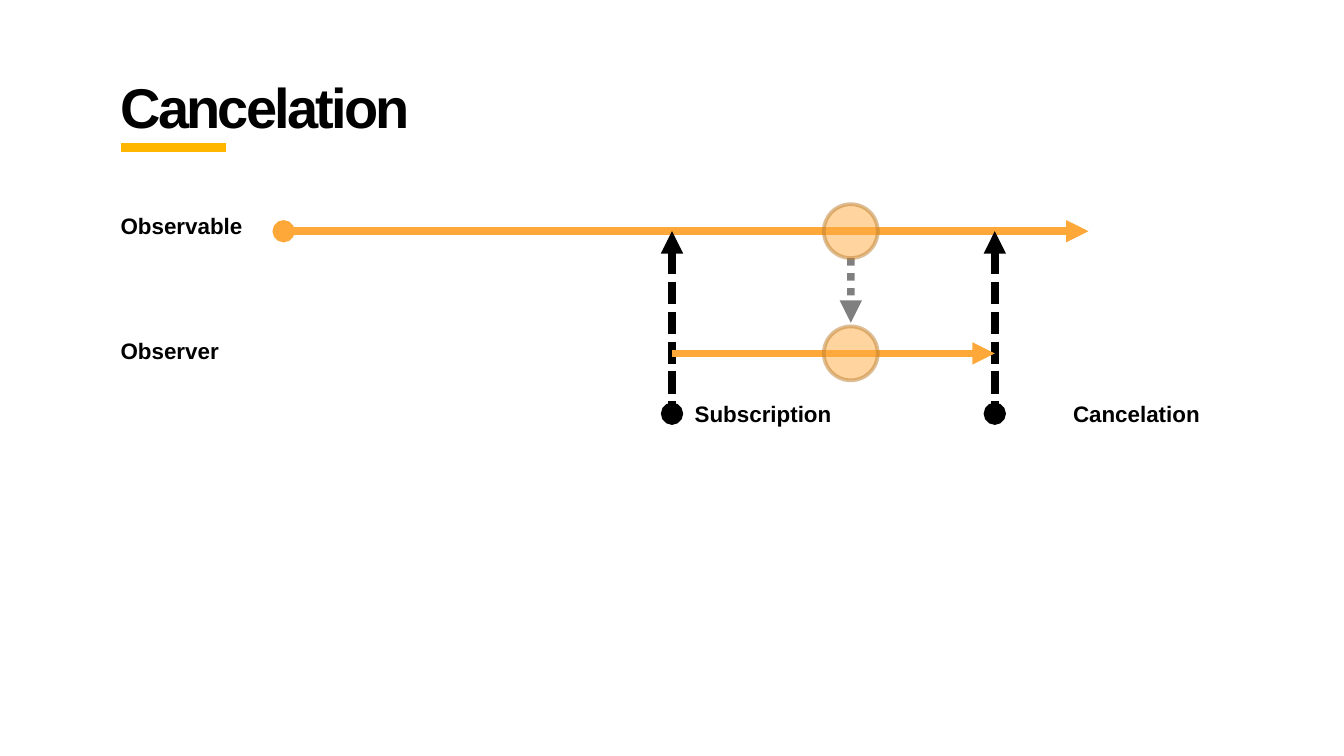
from dataclasses import dataclass

from pptx import Presentation
from pptx.dml.color import RGBColor
from pptx.enum.dml import MSO_LINE
from pptx.enum.shapes import MSO_CONNECTOR, MSO_SHAPE
from pptx.enum.text import MSO_ANCHOR, MSO_AUTO_SIZE, PP_ALIGN
from pptx.oxml.ns import qn
from pptx.oxml.xmlchemy import OxmlElement
from pptx.slide import Slide
from pptx.text.text import TextFrame
from pptx.util import Cm, Pt

COLORS = {
    "text": "000000",
    "accent": "FFB600",
    "stream": "FEA83A",
    "event": "FFAB40",
    "event_edge": "BD7F2F",
}
LABEL_FORMAT = {"name": "Arial", "size": Pt(12), "bold": True}
TITLE_FORMAT = LABEL_FORMAT | {"size": Pt(30)}

# Positions in centimetres
TEXT_LEFT = 2.03
OBSERVABLE_Y, OBSERVER_Y, MARKER_BOTTOM = 4.37, 6.68, 7.82
SUBSCRIPTION_X, EVENT_X, CANCELATION_X = 12.7, 16.08, 18.8
EVENT_SIZE = 1.02


@dataclass
class Line:
    start: tuple[float, float]
    end: tuple[float, float]
    color: str
    width: float = 4
    dash: MSO_LINE | None = None
    head: str | None = None
    tail: str | None = None
    opacity: int = 100


@dataclass
class Label:
    text: str
    left: float
    top: float
    width: float
    height: float = 0.76
    tab: float | None = None


def rgb(name: str) -> RGBColor:
    return RGBColor.from_string(COLORS[name])


def set_opacity(fill_parent, percent: int) -> None:
    """Add an alpha value to the solid fill directly inside an element."""
    alpha = OxmlElement("a:alpha")
    alpha.set("val", str(percent * 1000))
    fill_parent.find(qn("a:solidFill"))[0].append(alpha)


def draw_line(slide: Slide, line: Line) -> None:
    points = [Cm(value) for value in (*line.start, *line.end)]
    connector = slide.shapes.add_connector(MSO_CONNECTOR.STRAIGHT, *points)
    connector.line.width = Pt(line.width)
    connector.line.color.rgb = rgb(line.color)
    if line.dash:
        connector.line.dash_style = line.dash
    properties = connector.line._get_or_add_ln()
    if line.opacity < 100:
        set_opacity(properties, line.opacity)
    for tag, kind in (("a:headEnd", line.head), ("a:tailEnd", line.tail)):
        if kind:
            arrowhead = OxmlElement(tag)
            arrowhead.set("type", kind)
            properties.append(arrowhead)
    connector._element.spPr.append(OxmlElement("a:effectLst"))


def draw_event(slide: Slide, center_y: float) -> None:
    left, top = EVENT_X - EVENT_SIZE / 2, center_y - EVENT_SIZE / 2
    event = slide.shapes.add_shape(
        MSO_SHAPE.OVAL, Cm(left), Cm(top), Cm(EVENT_SIZE), Cm(EVENT_SIZE)
    )
    event.shadow.inherit = False
    event.fill.solid()
    event.fill.fore_color.rgb = rgb("event")
    event.line.width = Pt(2)
    event.line.color.rgb = rgb("event_edge")
    set_opacity(event._element.spPr, 50)
    set_opacity(event.line._get_or_add_ln(), 50)


def write_text(frame: TextFrame, text: str, formats: dict, tab: float | None = None) -> None:
    frame.word_wrap = True
    frame.auto_size = MSO_AUTO_SIZE.NONE
    frame.vertical_anchor = MSO_ANCHOR.TOP
    para = frame.paragraphs[0]
    para.alignment = PP_ALIGN.LEFT
    if tab:
        tabs, stop = OxmlElement("a:tabLst"), OxmlElement("a:tab")
        stop.set("pos", str(Cm(tab)))
        stop.set("algn", "l")
        tabs.append(stop)
        para._p.get_or_add_pPr().append(tabs)
    span = para.add_run()
    span.text = text
    for name, value in formats.items():
        setattr(span.font, name, value)
    span.font.color.rgb = rgb("text")


def draw_label(slide: Slide, label: Label) -> None:
    place = (label.left, label.top, label.width, label.height)
    box = slide.shapes.add_textbox(*map(Cm, place))
    write_text(box.text_frame, label.text, LABEL_FORMAT, label.tab)


def draw_title(slide: Slide, text: str) -> None:
    title = slide.shapes.title
    place = {"left": 2.03, "top": 1.02, "width": 21.21, "height": 1.6}
    for name, value in place.items():
        setattr(title, name, Cm(value))
    frame = title.text_frame
    insets = {"margin_left": 0.25, "margin_right": 0.25, "margin_top": 0.36, "margin_bottom": 0}
    for name, value in insets.items():
        setattr(frame, name, Cm(value))
    write_text(frame, text, TITLE_FORMAT)
    frame.paragraphs[0].runs[0].font._element.set("spc", "-150")


def marker(x: float) -> Line:
    """Dashed arrow from below the observer up to the observable."""
    return Line((x, OBSERVABLE_Y), (x, MARKER_BOTTOM), "text",
                dash=MSO_LINE.SQUARE_DOT, head="triangle", tail="oval")


def main() -> None:
    deck = Presentation()
    deck.slide_width, deck.slide_height = Cm(25.4), Cm(14.29)
    page = deck.slides.add_slide(deck.slide_layouts[5])

    draw_title(page, "Cancelation")
    title_rule = Line((2.29, 2.79), (4.27, 2.79), "accent", width=5)
    observable = Line((5.36, OBSERVABLE_Y), (20.57, OBSERVABLE_Y), "stream",
                      head="oval", tail="triangle")
    emission = Line((EVENT_X, 4.88), (EVENT_X, 6.1), "text",
                    dash=MSO_LINE.ROUND_DOT, tail="triangle", opacity=50)
    observer = Line((SUBSCRIPTION_X, OBSERVER_Y), (CANCELATION_X, OBSERVER_Y), "stream",
                    tail="triangle")

    for line in (title_rule, observable, marker(SUBSCRIPTION_X), emission):
        draw_line(page, line)
    draw_event(page, OBSERVABLE_Y)
    for label in (
        Label("Observable", TEXT_LEFT, 3.89, 3.02, 1.63),
        Label("Observer", TEXT_LEFT, 6.25, 3.02),
        Label("Subscription\tCancelation", 12.88, 7.44, 11.05, tab=7.15),
    ):
        draw_label(page, label)
    for line in (marker(CANCELATION_X), observer):
        draw_line(page, line)
    draw_event(page, OBSERVER_Y)

    deck.save("out.pptx")


if __name__ == "__main__":
    main()
